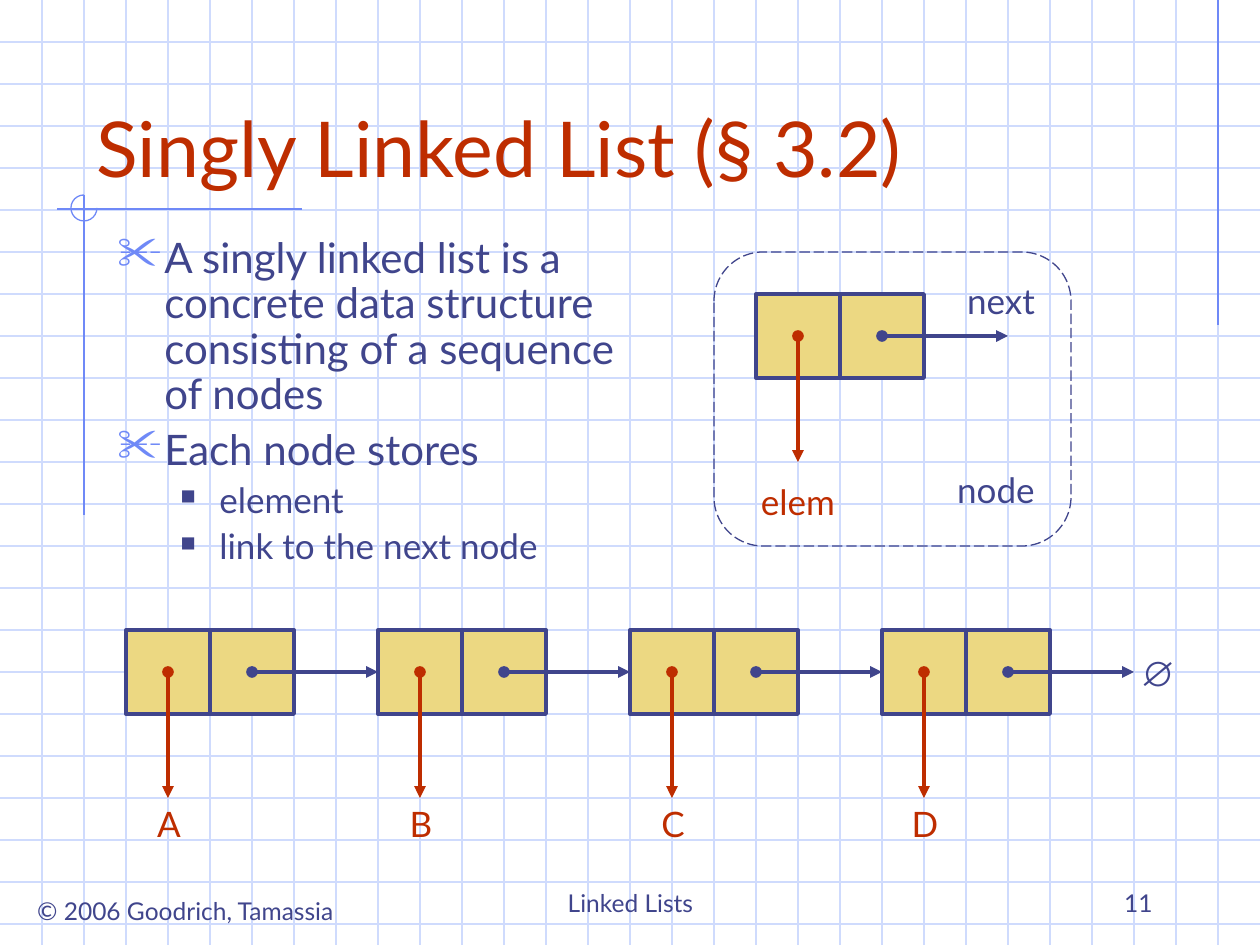
import pptx
import pptx.dml.color
import pptx.enum.dml
import pptx.enum.shapes
import pptx.enum.text
import pptx.oxml.ns
import pptx.util
from lxml import etree

WIDTH, HEIGHT, GRID = 1260, 945, 42
CELL = 2 * GRID
INK, RED, GOLD, SKY, PALE = "40458C", "BE2D00", "ECD882", "6F89F7", "CFDBFD"
SHAPE = pptx.enum.shapes.MSO_SHAPE
ALIGN = pptx.enum.text.PP_ALIGN
ANCHOR = pptx.enum.text.MSO_ANCHOR


def px(length):
    """Turn pixels at 126 to the inch into EMU."""
    return round(length * 914400 / 126)


def colour(code):
    """Return the RGB colour for a hex string."""
    return pptx.dml.color.RGBColor.from_string(code)


def add_child(parent, tag, **attributes):
    """Append a DrawingML element with the given attributes."""
    return etree.SubElement(parent, pptx.oxml.ns.qn(tag), attributes)


def add_line(page, start, end, code, width=0.75):
    """Draw a straight line without shadow."""
    line = page.shapes.add_connector(
        pptx.enum.shapes.MSO_CONNECTOR.STRAIGHT, *map(px, start + end))
    line.line.color.rgb = colour(code)
    line.line.width = pptx.util.Pt(width)
    add_child(line._element.spPr, "a:effectLst")
    return line


def add_pointer(page, start, end, code):
    """Draw a thick arrow that starts with a dot."""
    pointer = add_line(page, start, end, code, 2.25)
    stroke = pointer._element.spPr.find(pptx.oxml.ns.qn("a:ln"))
    add_child(stroke, "a:headEnd", type="oval")
    add_child(stroke, "a:tailEnd", type="triangle")
    return pointer


def add_outline(page, kind, bounds, code, width=0.75, fill=None):
    """Draw a preset shape, filled only when a fill is given."""
    shape = page.shapes.add_shape(kind, *map(px, bounds))
    shape.shadow.inherit = False
    shape.line.color.rgb = colour(code)
    shape.line.width = pptx.util.Pt(width)
    if fill:
        shape.fill.solid()
        shape.fill.fore_color.rgb = colour(fill)
    else:
        shape.fill.background()
    return shape


def set_font(para, size, code, name="Lato", bold=False):
    """Set the font of a whole paragraph."""
    para.font.name = name
    para.font.size = pptx.util.Pt(size)
    para.font.bold = bold
    para.font.color.rgb = colour(code)


def add_text(page, bounds, text, size, code, align=ALIGN.LEFT,
             anchor=ANCHOR.TOP, wrap=True, name="Lato", bold=False):
    """Add a text box with one paragraph."""
    frame = page.shapes.add_textbox(*map(px, bounds)).text_frame
    frame.word_wrap = wrap
    frame.vertical_anchor = anchor
    para = frame.paragraphs[0]
    para.text = text
    para.alignment = align
    set_font(para, size, code, name, bold)


def add_label(page, centre, top, text, code, **style):
    """Add a short label centred on a horizontal position."""
    add_text(page, (centre - 55, top, 110, 55), text, 20, code,
             ALIGN.CENTER, wrap=False, **style)


def add_bullet(para, char, code, percent, left, hanging):
    """Give a paragraph a coloured bullet and a hanging indent."""
    properties = para._p.get_or_add_pPr()
    properties.set("marL", str(px(left)))
    properties.set("indent", str(-px(hanging)))
    add_child(add_child(properties, "a:buClr"), "a:srgbClr", val=code)
    add_child(properties, "a:buSzPct", val=str(percent * 1000))
    add_child(properties, "a:buChar", char=char)


def add_points(page, bounds, points):
    """Add the bulleted list of (level, text) points."""
    frame = page.shapes.add_textbox(*map(px, bounds)).text_frame
    frame.word_wrap = True
    for index, (level, text) in enumerate(points):
        para = frame.add_paragraph() if index else frame.paragraphs[0]
        para.text = text
        para.level = level
        para.line_spacing = 0.9
        if index:
            para.space_before = pptx.util.Pt(5 if level else 6)
        if level:
            add_bullet(para, "■", INK, 60, 102, 39)
        else:
            add_bullet(para, "✂", SKY, 110, 47, 47)
        set_font(para, 20 if level else 24, INK)


def add_background(page):
    """Draw the graph paper and its margin lines."""
    for y in range(GRID, HEIGHT, GRID):
        add_line(page, (0, y), (WIDTH, y), PALE)
    for x in range(GRID, WIDTH, GRID):
        add_line(page, (x, 0), (x, HEIGHT), PALE)
    add_line(page, (1218, 0), (1218, 325), SKY)
    add_line(page, (302, 209), (57, 209), SKY)
    add_line(page, (84, 195), (84, 515), SKY)
    arc = add_outline(page, SHAPE.ARC, (71, 195, 26, 26), SKY)
    arc.adjustments[0] = 0
    arc.adjustments[1] = 162


def add_node(page, left, top):
    """Draw the two cells of a node and return the first."""
    cells = [add_outline(page, SHAPE.RECTANGLE, (x, top, CELL, CELL),
                         INK, 2.25, GOLD) for x in (left, left + CELL)]
    return cells[0]


def add_node_pointers(page, left, top):
    """Draw a node's element and next arrows and return the latter."""
    middle = top + GRID
    element, link = left + GRID, left + CELL + GRID
    add_pointer(page, (element, middle), (element, middle + 126), RED)
    return add_pointer(page, (link, middle), (link + 126, middle), INK)


def add_node_diagram(page):
    """Draw the framed diagram of a single node."""
    frame = add_outline(page, SHAPE.ROUNDED_RECTANGLE,
                        (714, 252, 357, 294), INK)
    frame.adjustments[0] = 0.167
    frame.line.dash_style = pptx.enum.dml.MSO_LINE.LONG_DASH
    add_node(page, 756, 294)
    add_node_pointers(page, 756, 294)
    add_label(page, 1001, 273, "next", INK)
    add_label(page, 798, 474, "elem", RED)
    add_label(page, 996, 462, "node", INK)


def add_list_diagram(page, elements, left=126, top=630, pitch=252):
    """Draw a chain of linked nodes ending in the empty link."""
    lefts = [left + pitch * index for index in range(len(elements))]
    nodes = [add_node(page, x, top) for x in lefts]
    links = [add_node_pointers(page, x, top) for x in lefts]
    for link, following in zip(links, nodes[1:]):
        link.end_connect(following, 1)
    for x, element in zip(lefts, elements):
        add_label(page, x + GRID + 1, 796, element, RED)
    add_label(page, 1158, 645, "∅", INK, name="Arial", bold=True)


def main():
    """Build the slide and save it."""
    deck = pptx.Presentation()
    deck.slide_width, deck.slide_height = px(WIDTH), px(HEIGHT)
    page = deck.slides.add_slide(deck.slide_layouts[6])
    add_background(page)
    add_text(page, (15, 890, 341, 43), "© 2006 Goodrich, Tamassia", 14, INK,
             ALIGN.CENTER, wrap=False)
    add_text(page, (431, 861, 399, 63), "Linked Lists", 14, INK,
             ALIGN.CENTER, ANCHOR.BOTTOM)
    add_text(page, (903, 861, 262, 63), "11", 14, INK,
             ALIGN.RIGHT, ANCHOR.BOTTOM)
    add_text(page, (84, 42, 1071, 157), "Singly Linked List (§ 3.2)", 44, RED,
             anchor=ANCHOR.BOTTOM)
    add_points(page, (105, 231, 567, 346), [
        (0, "A singly linked list is a concrete data structure "
            "consisting of a sequence of nodes"),
        (0, "Each node stores"),
        (1, "element"),
        (1, "link to the next node"),
    ])
    add_node_diagram(page)
    add_list_diagram(page, "ABCD")
    deck.save("out.pptx")


if __name__ == "__main__":
    main()
